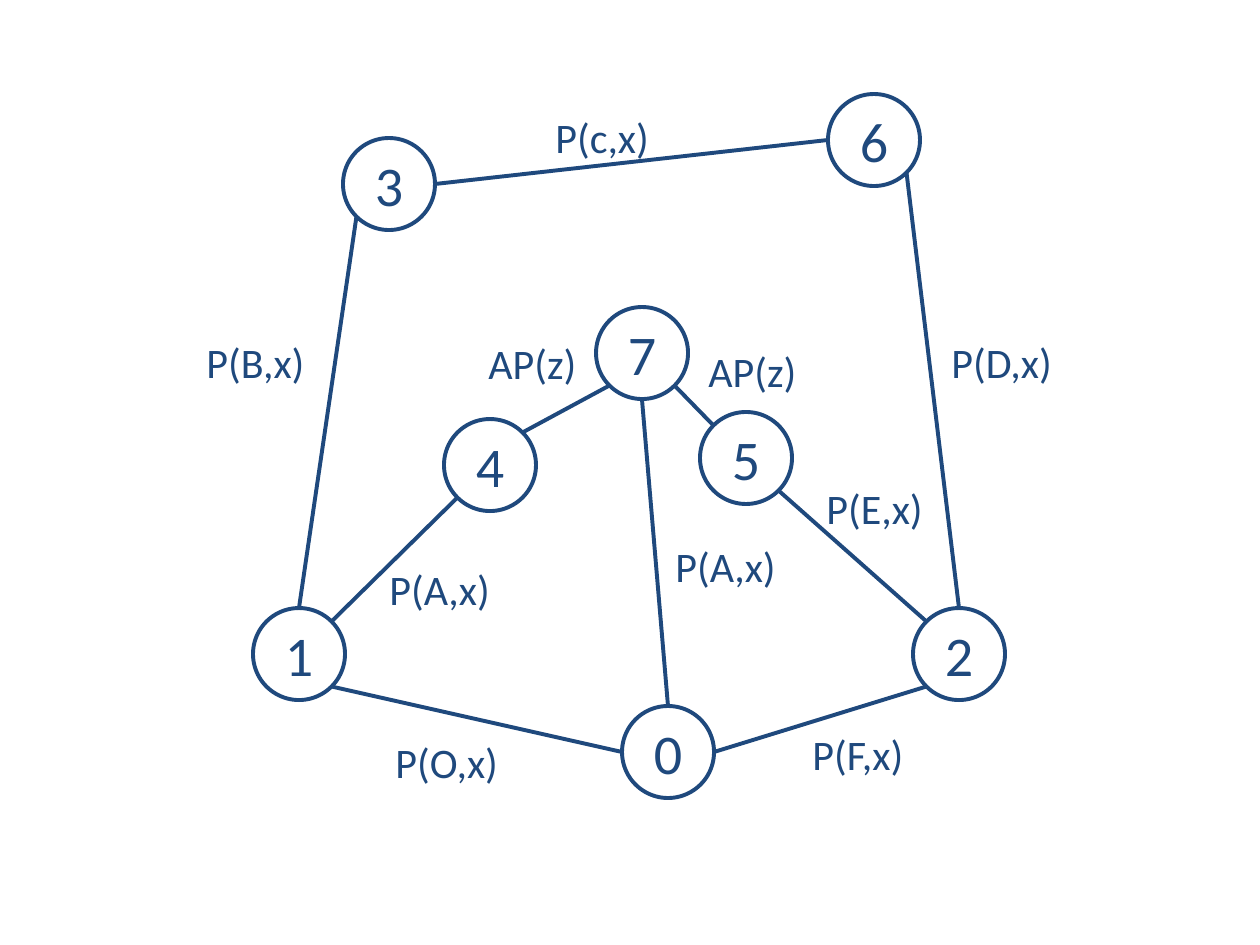
from math import sqrt

from pptx import Presentation
from pptx.dml.color import RGBColor
from pptx.enum.shapes import MSO_CONNECTOR, MSO_SHAPE
from pptx.enum.text import MSO_ANCHOR, MSO_AUTO_SIZE, PP_ALIGN
from pptx.oxml.ns import qn
from pptx.util import Emu, Pt
from lxml.etree import SubElement

COLORS = {"ink": "1F497D"}
FONT = "Calibri"
SLIDE_SIZE = (1260, 945)
RADIUS = 46
LABEL_HEIGHT = 63

# Graph nodes: name -> centre
NODES = {
    "3": (389, 184), "6": (874, 140), "1": (299, 654), "4": (490, 465),
    "5": (746, 458), "2": (959, 654), "0": (668, 752), "7": (642, 353),
}

# Graph edges: node, side of its circle, node, side of its circle
EDGES = [
    ("1", "top", "3", "bottom left"),
    ("3", "right", "6", "left"),
    ("1", "top right", "4", "bottom left"),
    ("5", "bottom right", "2", "top left"),
    ("2", "top", "6", "bottom right"),
    ("1", "bottom right", "0", "left"),
    ("0", "right", "2", "bottom left"),
    ("7", "bottom right", "5", "top left"),
    ("4", "top right", "7", "bottom left"),
    ("0", "top", "7", "bottom"),
]

# Edge labels: text, left, top, width
LABELS = [
    ("P(c,x)", 543, 105, 120),
    ("P(B,x)", 194, 330, 125),
    ("P(D,x)", 939, 330, 127),
    ("P(A,x)", 377, 557, 127),
    ("P(E,x)", 814, 476, 122),
    ("P(O,x)", 383, 730, 129),
    ("P(F,x)", 800, 722, 120),
    ("AP(z)", 476, 331, 115),
    ("AP(z)", 696, 339, 115),
    ("P(A,x)", 663, 534, 127),
]

STEPS = {"left": (-1, 0), "right": (1, 0), "top": (0, -1), "bottom": (0, 1)}


def px(*lengths):
    return [Emu(round(length * 914400 / 126)) for length in lengths]


def ink():
    return RGBColor.from_string(COLORS["ink"])


def style_line(line):
    line.color.rgb = ink()
    line.width = Pt(2.25)


def write(frame, text, size):
    frame.text = text
    font = frame.paragraphs[0].runs[0].font
    font.name, font.size = FONT, Pt(size)
    font.color.rgb = ink()


def rim_point(node, side):
    """Point on a node's circle in the direction of the named side."""
    steps = [STEPS[word] for word in side.split()]
    reach = RADIUS / sqrt(len(steps))
    return [centre + reach * sum(move) for centre, move in zip(NODES[node], zip(*steps))]


def add_edge(page, start, start_side, end, end_side):
    points = rim_point(start, start_side) + rim_point(end, end_side)
    edge = page.shapes.add_connector(MSO_CONNECTOR.STRAIGHT, *px(*points))
    style_line(edge.line)
    SubElement(edge._element.spPr, qn("a:effectLst"))


def add_node(page, name, x, y):
    circle = page.shapes.add_shape(
        MSO_SHAPE.OVAL, *px(x - RADIUS, y - RADIUS, 2 * RADIUS, 2 * RADIUS))
    circle.shadow.inherit = False
    circle.fill.background()
    style_line(circle.line)
    frame = circle.text_frame
    frame.vertical_anchor = MSO_ANCHOR.MIDDLE
    write(frame, name, 32)
    frame.paragraphs[0].alignment = PP_ALIGN.CENTER


def add_label(page, text, left, top, width):
    box = page.shapes.add_textbox(*px(left, top, width, LABEL_HEIGHT))
    frame = box.text_frame
    frame.word_wrap = False
    frame.auto_size = MSO_AUTO_SIZE.SHAPE_TO_FIT_TEXT
    write(frame, text, 24)


def main():
    deck = Presentation()
    deck.slide_width, deck.slide_height = px(*SLIDE_SIZE)
    page = deck.slides.add_slide(deck.slide_layouts[6])
    for name, (x, y) in NODES.items():
        add_node(page, name, x, y)
    for edge in EDGES:
        add_edge(page, *edge)
    for label in LABELS:
        add_label(page, *label)
    deck.save("out.pptx")


if __name__ == "__main__":
    main()
